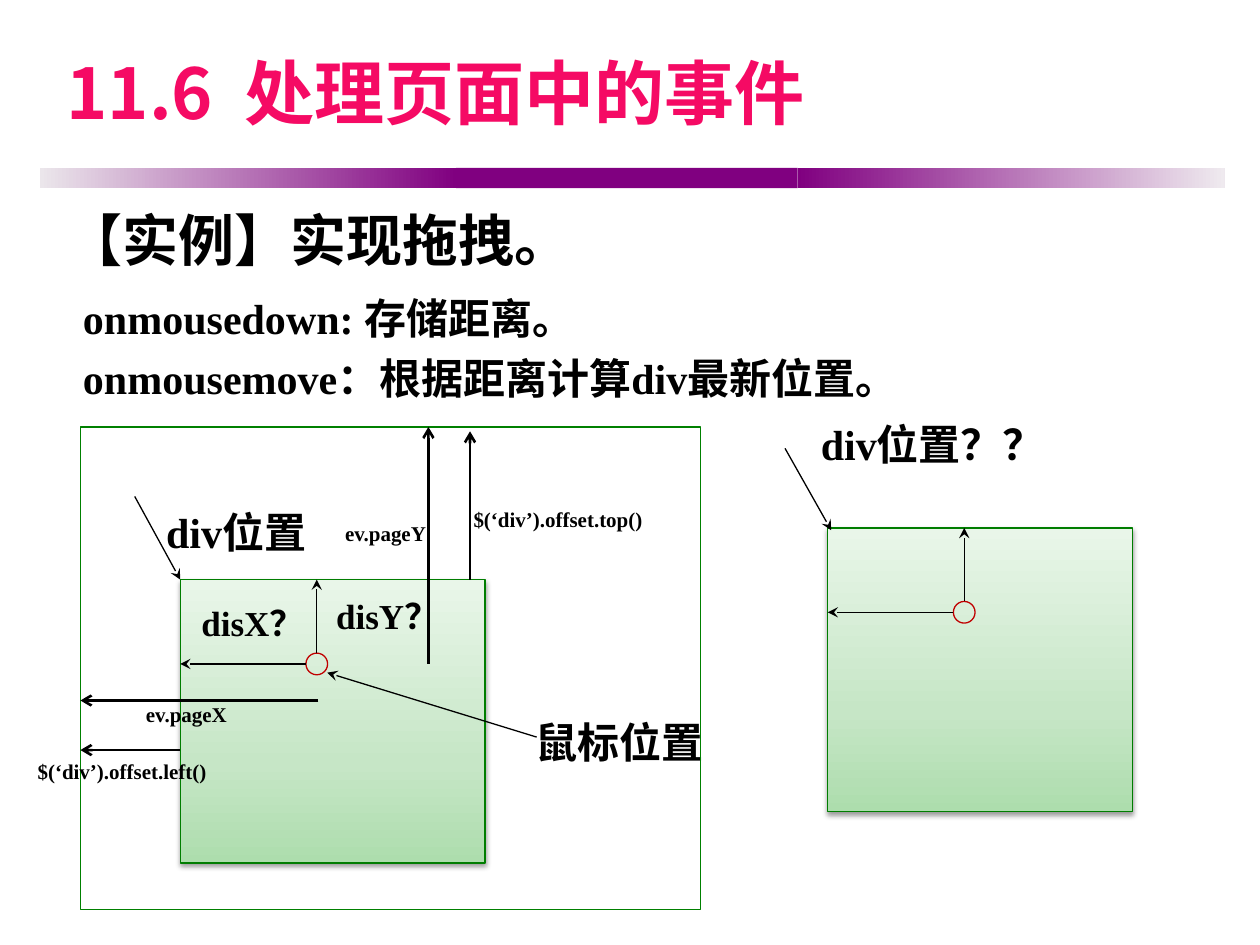
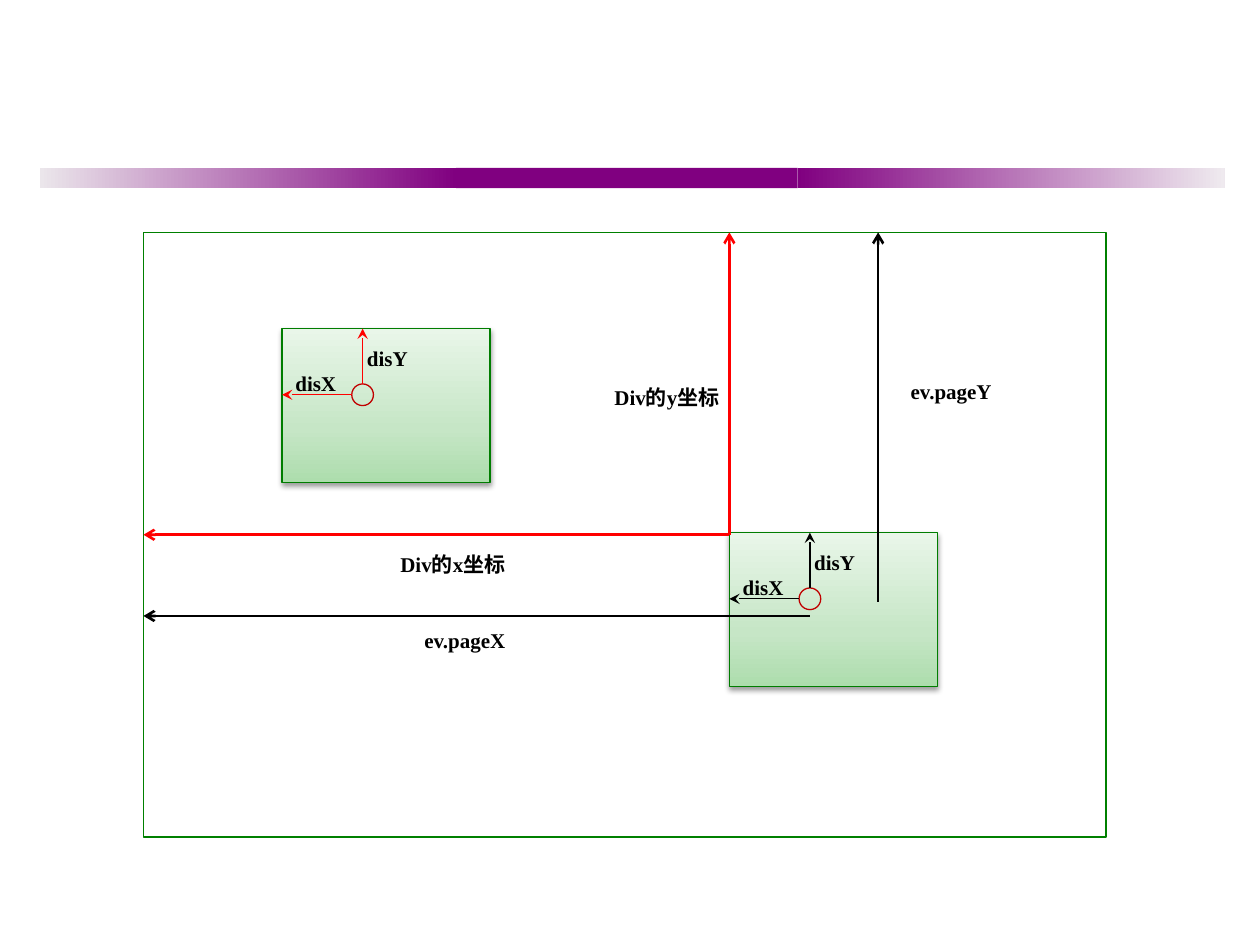
from lxml.etree import SubElement
from pptx import Presentation
from pptx.dml.color import RGBColor
from pptx.enum.shapes import MSO_CONNECTOR, MSO_SHAPE
from pptx.enum.text import MSO_ANCHOR
from pptx.oxml.ns import qn
from pptx.util import Pt

BLACK, RED, PURPLE = "000000", "FF0000", "800080"
GREEN, DARK_GREEN, DARK_RED, PINK = "008000", "007D00", "C00000", "F50A64"
GREEN_STOPS = [(0, "ADDDAD"), (35, "C6E6C6"), (100, "E9F6E9")]
SERIF, SANS = "Times New Roman", "Noto Sans CJK SC"
CIRCLE = 12.4


def color(value):
    return RGBColor.from_string(value)


def add_box(page, left, top, width, height, line=None, kind=MSO_SHAPE.RECTANGLE):
    box = page.shapes.add_shape(kind, Pt(left), Pt(top), Pt(width), Pt(height))
    box.shadow.inherit = False
    box.fill.background()
    if line:
        box.line.color.rgb = color(line)
        box.line.width = Pt(0.75)
    else:
        box.line.fill.background()
    return box


def fill_gradient(box, stops, angle):
    box.fill.gradient()
    box.fill.gradient_angle = angle
    stop_list = box.element.spPr.find(qn("a:gradFill")).find(qn("a:gsLst"))
    for stop in list(stop_list):
        stop_list.remove(stop)
    for position, value in stops:
        stop = SubElement(stop_list, qn("a:gs"), pos=str(position * 1000))
        SubElement(stop, qn("a:srgbClr"), val=value)


def drop_shadow(box):
    effects = box.element.spPr.find(qn("a:effectLst"))
    shadow = SubElement(effects, qn("a:outerShdw"), blurRad=str(Pt(3.1)),
                        dist=str(Pt(1.6)), dir="5400000", rotWithShape="0")
    tint = SubElement(shadow, qn("a:srgbClr"), val=BLACK)
    SubElement(tint, qn("a:alpha"), val="38000")


def add_arrow(page, start, end, line=BLACK, width=0.75, head="stealth"):
    arrow = page.shapes.add_connector(
        MSO_CONNECTOR.STRAIGHT, *(Pt(value) for value in (*start, *end)))
    arrow.line.color.rgb = color(line)
    arrow.line.width = Pt(width)
    SubElement(arrow.line._get_or_add_ln(), qn("a:tailEnd"), type=head)
    SubElement(arrow._element.spPr, qn("a:effectLst"))
    return arrow


def add_measure(page, start, end, line=BLACK):
    return add_arrow(page, start, end, line, 1.5, "arrow")


def add_text(page, left, top, width, height, lines, size=12, font=SERIF,
             ink=BLACK, spacing=1.2, before=0, anchor=MSO_ANCHOR.TOP):
    box = page.shapes.add_textbox(Pt(left), Pt(top), Pt(width), Pt(height))
    frame = box.text_frame
    frame.word_wrap = True
    frame.vertical_anchor = anchor
    frame.text = lines
    for para in frame.paragraphs:
        para.line_spacing = spacing
        para.space_before = Pt(before)
        para.font.name = font
        para.font.size = Pt(size)
        para.font.bold = True
        para.font.color.rgb = color(ink)


def add_band(page, left=23, top=96, height=11.5):
    fade_in = add_box(page, left, top, 238.2, height)
    fill_gradient(fade_in, [(0, "EBE6EB"), (100, PURPLE)], 0)
    middle = add_box(page, left + 237.7, top, 195.1, height)
    middle.fill.solid()
    middle.fill.fore_color.rgb = color(PURPLE)
    fade_out = add_box(page, left + 432.8, top, 244, height)
    fill_gradient(fade_out, [(0, PURPLE), (100, "EFEAEF")], 0)


def add_drag_box(page, left, top, width, height, mouse_x, mouse_y, line=BLACK):
    box = add_box(page, left, top, width, height, DARK_GREEN)
    fill_gradient(box, GREEN_STOPS, 90)
    drop_shadow(box)
    x, y, radius = left + mouse_x, top + mouse_y, CIRCLE / 2
    add_box(page, x - radius, y - radius, CIRCLE, CIRCLE, DARK_RED, MSO_SHAPE.OVAL)
    add_arrow(page, (x, y - radius), (x, top), line)
    add_arrow(page, (x - radius, y), (left, y), line)


def add_large_box(page, left, top):
    add_drag_box(page, left, top, 174.2, 162, 78, 48.2)


def add_small_box(page, left, top, line):
    add_drag_box(page, left, top, 118.8, 87.8, 46, 37.8, line)
    add_text(page, left + 0.5, top + 17.6, 38, 24.5, "disX")
    add_text(page, left + 41.4, top + 3.2, 38, 24.5, "disY")


def add_stored_distances(page, left, top):
    box_left, box_top = left + 57, top + 87.2
    add_large_box(page, box_left, box_top)
    add_text(page, box_left + 5, box_top + 4.3, 74.2, 34, "disX？", 20)
    add_text(page, box_left + 82, box_top, 74.2, 34, "disY？", 20)
    add_arrow(page, (left + 31, top + 39.7), (box_left, box_top))
    add_arrow(page, (left + 260.7, top + 177.2), (left + 141, top + 140.4))
    add_text(page, left + 41.8, top + 36, 174.2, 42.5, "div位置", 24)
    add_text(page, left + 252.8, top + 156.3, 149.8, 42.5, "鼠标位置", 24)
    add_box(page, left, top, 354.2, 275.8, GREEN)
    add_measure(page, (left + 136, top + 156.3), (left, top + 156.3))
    add_text(page, left + 30.3, top + 150.5, 62.6, 24.5, "ev.pageX")
    add_measure(page, (box_left, top + 184.6), (left, top + 184.6))
    add_text(page, left - 31.6, top + 183, 118.8, 24.5, "$(‘div’).offset.left()")
    add_measure(page, (left + 198.8, top + 135.4), (left + 198.8, top))
    add_measure(page, (left + 222.6, box_top), (left + 222.6, top + 2.5))
    add_text(page, left + 144.1, top + 46.8, 62.6, 23, "ev.pageY")
    add_text(page, left + 217.5, top + 39, 118.8, 24.5, "$(‘div’).offset.top()")


def add_unknown_position(page, left, top):
    add_large_box(page, left, top)
    add_text(page, left - 11, top - 72, 165.6, 42.5, "div位置？？", 24)
    add_arrow(page, (left - 24.4, top - 45.5), (left + 2, top + 1.3))


def add_coordinates(page, left, top):
    frame = add_box(page, left, top, 550.1, 345.6, GREEN)
    add_small_box(page, left + 79.2, top + 55, RED)
    box_left, box_top = left + 334.8, top + 171.6
    add_small_box(page, box_left, box_top, BLACK)
    add_measure(page, (box_left + 46, top + 219.2), (left, top + 219.2))
    add_text(page, left + 153.4, top + 219.6, 62.6, 24.5, "ev.pageX")
    add_measure(page, (left + 419.8, top + 211), (left + 419.8, top))
    add_text(page, left + 431.3, top + 77, 62.6, 23, "ev.pageY")
    corner = (box_left, top + 172.8)
    add_measure(page, corner, (left, top + 172.8), RED).end_connect(frame, 1)
    add_measure(page, corner, (box_left, top), RED)
    add_text(page, left + 139.7, top + 175.7, 90, 24.5, "Div的x坐标")
    add_text(page, left + 262, top + 80.6, 78.5, 24.5, "Div的y坐标")


def add_page(deck):
    page = deck.slides.add_slide(deck.slide_layouts[6])
    add_band(page)
    return page


def build_drag_page(deck):
    page = add_page(deck)
    add_text(page, 31, 12.2, 652.3, 80, "11.6  处理页面中的事件", 40, SANS, PINK,
             spacing=1, anchor=MSO_ANCHOR.MIDDLE)
    add_text(page, 31, 113.8, 663, 48.2, "【实例】实现拖拽。", 32, spacing=1, before=6.4)
    add_text(page, 40.3, 157.7, 653.8, 77,
             "onmousedown: 存储距离。\nonmousemove：根据距离计算div最新位置。", 24)
    add_stored_distances(page, 46, 244)
    add_unknown_position(page, 473, 301.7)


def build_coordinate_page(deck):
    add_coordinates(add_page(deck), 82, 132.8)


def main():
    deck = Presentation()
    deck.slide_width, deck.slide_height = Pt(720), Pt(540)
    build_drag_page(deck)
    build_coordinate_page(deck)
    deck.save("out.pptx")


if __name__ == "__main__":
    main()
